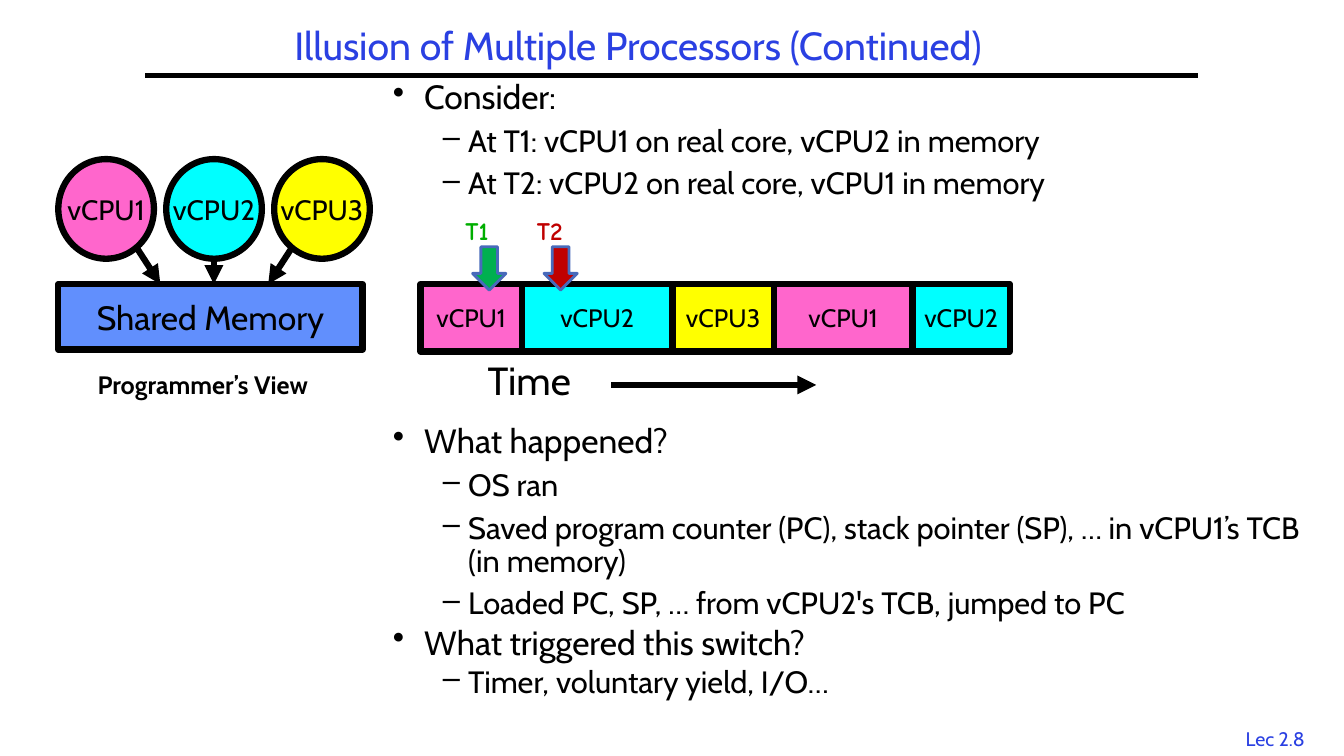
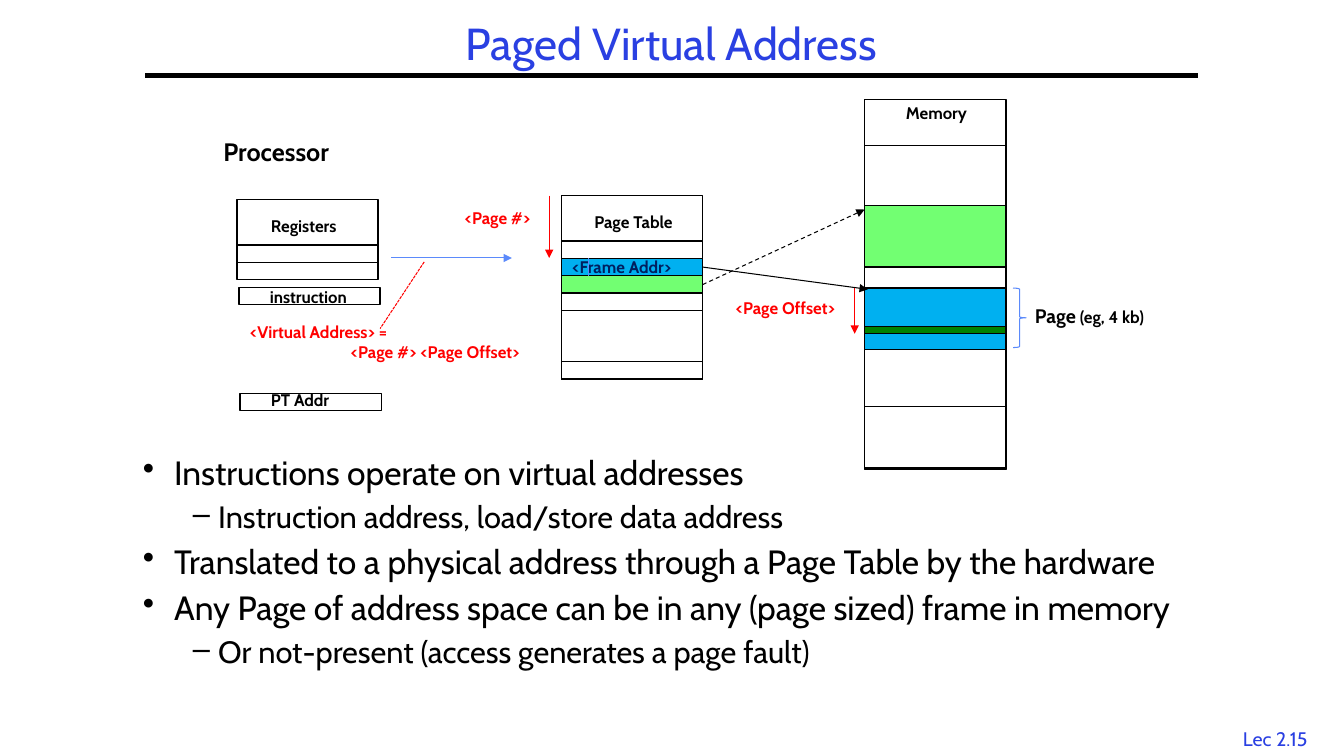
"""Build two lecture slides: virtual processors over time, and paged virtual addresses."""
from lxml import etree
from pptx import Presentation
from pptx.dml.color import RGBColor
from pptx.enum.dml import MSO_LINE
from pptx.enum.shapes import MSO_CONNECTOR, MSO_SHAPE
from pptx.enum.text import MSO_ANCHOR, MSO_AUTO_SIZE, PP_ALIGN
from pptx.oxml.ns import qn
from pptx.util import Cm, Pt

RECTANGLE = MSO_SHAPE.RECTANGLE
ELLIPSE = MSO_SHAPE.OVAL
DOWN_ARROW = MSO_SHAPE.DOWN_ARROW
BRACE = MSO_SHAPE.RIGHT_BRACE
STRAIGHT = MSO_CONNECTOR.STRAIGHT
DASH = MSO_LINE.DASH
FINE_DASH = MSO_LINE.SQUARE_DOT
LEFT = PP_ALIGN.LEFT
CENTER = PP_ALIGN.CENTER
MIDDLE = MSO_ANCHOR.MIDDLE
NO_AUTOFIT = MSO_AUTO_SIZE.NONE

FONT = "Cabin"
BLACK = "000000"
TITLE_BLUE = "2A40E2"
LINE_BLUE = "5B8AFB"
RED = "FF0000"
PINK = "FF66CC"
CYAN = "00FFFF"
YELLOW = "FFFF00"
FRAME_BLUE = "00B0F0"
PAGE_GREEN = "72FF72"
CPU_COLORS = {"vCPU1": PINK, "vCPU2": CYAN, "vCPU3": YELLOW}
BULLETS = [("•", 24, 0.79, 0.79), ("–", 22, 1.9, 0.64)]


def write(shape, text, size=12, color=BLACK, bold=False, font=FONT, align=LEFT, spacing=1.0,
          before=0, indent=0, hanging=0, bullet=None, same_line=False):
    """Add one paragraph, or one more run of the last paragraph."""
    frame = shape.text_frame
    paragraph = frame.paragraphs[-1]
    if paragraph.runs and not same_line:
        paragraph = frame.add_paragraph()
        paragraph.space_before = Pt(before)
    paragraph.alignment = align
    paragraph.line_spacing = spacing
    properties = paragraph._p.get_or_add_pPr()
    if indent:
        properties.set("marL", str(Cm(indent)))
        properties.set("indent", str(-Cm(hanging)))
    if bullet:
        etree.SubElement(properties, qn("a:buChar"), char=bullet)
    run = paragraph.add_run()
    run.text = text
    run.font.name = font
    run.font.size = Pt(size)
    run.font.bold = bold
    run.font.color.rgb = RGBColor.from_string(color)


def draw(slide, kind, box, fill=None, outline=BLACK, width=1):
    """Add a preset shape, or a text box when kind is None."""
    lengths = [Cm(length) for length in box]
    if kind is None:
        shape = slide.shapes.add_textbox(*lengths)
        shape.text_frame.word_wrap = True
        return shape
    shape = slide.shapes.add_shape(kind, *lengths)
    shape.shadow.inherit = False
    shape.line.color.rgb = RGBColor.from_string(outline)
    shape.line.width = Pt(width)
    if fill:
        shape.fill.solid()
        shape.fill.fore_color.rgb = RGBColor.from_string(fill)
    else:
        shape.fill.background()
    shape.text_frame.word_wrap = False
    shape.text_frame.vertical_anchor = MIDDLE
    return shape


presentation = Presentation()
presentation.slide_width = Cm(33.87)
presentation.slide_height = Cm(19.05)

connectors = []
slides = []
for title_text, title_size, title_box, footer_text in [
    ("Illusion of Multiple Processors (Continued)", 28, (5.13, 0.1, 21.89, 2.21), "Lec 2.8"),
    ("Paged Virtual Address", 32, (3.66, 0.43, 26.52, 1.47), "Lec 2.15"),
]:
    slide = presentation.slides.add_slide(presentation.slide_layouts[5])
    slides.append(slide)
    title = slide.shapes.title
    title.left, title.top, title.width, title.height = [Cm(length) for length in title_box]
    title.text_frame.vertical_anchor = MIDDLE
    title.text_frame.auto_size = NO_AUTOFIT
    write(title, title_text, size=title_size, color=TITLE_BLUE, align=CENTER, spacing=0.9)
    footer = draw(slide, None, (30.91, 18.19, 2.46, 0.84))
    footer.text_frame.word_wrap = False
    write(footer, footer_text, size=14, color=TITLE_BLUE, align=CENTER)
    connectors.append((slide, (3.66, 1.9), (30.2, 1.9), BLACK, 3, None, False, None))
processors, paging = slides

for slide, box, lines in [
    (processors, (9.65, 1.9, 23.83, 3.5), [
        (0, "Consider:", 0.9, 0.3),
        (1, "At T1: vCPU1 on real core, vCPU2 in memory", 0.9, 0.3),
        (1, "At T2: vCPU2 on real core, vCPU1 in memory", 0.9, 0.3),
    ]),
    (processors, (9.65, 10.57, 23.83, 7.5), [
        (0, "What happened?", 0.9, 0.3),
        (1, "OS ran", 0.9, 0.3),
        (1, "Saved program counter (PC), stack pointer (SP), … in vCPU1’s TCB (in memory)", 0.9, 0.3),
        (1, "Loaded PC, SP, … from vCPU2's TCB, jumped to PC", 0.9, 0.3),
        (0, "What triggered this switch?", 0.8, 0.25),
        (1, "Timer, voluntary yield, I/O…", 0.8, 0.25),
    ]),
    (paging, (3.35, 11.38, 27.5, 6.93), [
        (0, "Instructions operate on virtual addresses", 0.9, 0.3),
        (1, "Instruction address, load/store data address", 0.9, 0.3),
        (0, "Translated to a physical address through a Page Table by the hardware", 0.9, 0.3),
        (0, "Any Page of address space can be in any (page sized) frame in memory", 0.9, 0.3),
        (1, "Or not-present (access generates a page fault)", 0.9, 0.3),
    ]),
]:
    body = draw(slide, None, box)
    for level, text, spacing, gap in lines:
        bullet, size, indent, hanging = BULLETS[level]
        write(body, text, size=size, spacing=spacing, before=gap * size,
              indent=indent, hanging=hanging, bullet=bullet)

left = 10.6
for name, width in [("vCPU1", 2.55), ("vCPU2", 3.8), ("vCPU3", 2.55), ("vCPU1", 3.5), ("vCPU2", 2.45)]:
    time_slot = draw(processors, RECTANGLE, (left, 7.16, width, 1.7), CPU_COLORS[name], width=4.5)
    write(time_slot, name, size=18, align=CENTER)
    left += width

for index, (name, fill, color) in enumerate([("T1", "00B050", "00AE00"), ("T2", "C00000", "C00000")]):
    shift = 1.8 * index
    draw(processors, DOWN_ARROW, (11.91 + shift, 6.22, 0.84, 1.09), fill, "486ABB", 2)
    moment = draw(processors, None, (11.48 + shift, 5.3, 1.8, 1.02))
    write(moment, name, size=18, color=color, bold=True, font="Comic Neue")

for index, (name, fill) in enumerate(CPU_COLORS.items()):
    circle = draw(processors, ELLIPSE, (1.47 + 2.72 * index, 4.01, 2.41, 2.51), fill, width=4.5)
    write(circle, name, size=20, align=CENTER)
shared_memory = draw(processors, RECTANGLE, (1.47, 7.16, 7.67, 1.65), "618FFD", width=4.5)
write(shared_memory, "Shared Memory", size=24, align=CENTER)

for start, end in [
    ((3.43, 6.22), (4.04, 7.16)),
    ((5.39, 6.52), (5.39, 7.16)),
    ((7.37, 6.22), (6.76, 7.16)),
    ((15.4, 9.7), (20.57, 9.7)),
]:
    connectors.append((processors, start, end, BLACK, 4.5, None, True, None))

row = 0.44
table_rows = [6.07 + row * index for index in range(4)]
cells = {}
for name, left, top, height, fill in [
    ("registers", 5.97, 5.03, 2.01, None),
    ("register", 5.97, 6.17, row, None),
    ("instruction", 6.02, 7.24, row, None),
    ("table address", 6.05, 9.91, row, None),
    ("page table", 14.15, 4.93, 4.62, None),
    ("first entry", 14.15, table_rows[0], row, None),
    ("frame entry", 14.15, table_rows[1], row, FRAME_BLUE),
    ("green entry", 14.15, table_rows[2], row, PAGE_GREEN),
    ("fourth entry", 14.15, table_rows[3], row, None),
    ("last entry", 14.15, 9.11, row, None),
    ("memory", 21.79, 2.51, 9.32, None),
    ("first page", 21.79, 3.66, 1.55, None),
    ("green page", 21.79, 5.18, 1.55, PAGE_GREEN),
    ("blue page", 21.79, 7.26, 1.55, FRAME_BLUE),
    ("last page", 21.79, 10.24, 1.55, None),
    ("word", 21.79, 8.23, 0.18, "008200"),
]:
    cells[name] = draw(paging, RECTANGLE, (left, top, 3.56, height), fill)
draw(paging, BRACE, (25.53, 7.26, 0.33, 1.5), outline=LINE_BLUE, width=0.75)

for start, end, color, dash, arrow, source in [
    ((9.86, 6.5), (12.9, 6.5), LINE_BLUE, None, True, None),
    ((10.69, 6.6), (9.58, 8.28), RED, FINE_DASH, False, None),
    ((13.84, 4.93), (13.84, 6.5), RED, None, True, None),
    ((21.54, 7.26), (21.54, 8.41), RED, None, True, None),
    ((14.83, 6.51), (14.83, 6.95), LINE_BLUE, None, False, None),
    ((17.71, 6.73), (21.87, 7.29), BLACK, None, True, cells["frame entry"]),
    ((17.71, 7.17), (21.79, 5.28), BLACK, DASH, True, cells["green entry"]),
]:
    connectors.append((paging, start, end, color, 0.75, dash, arrow, source))

for slide, left, top, width, text, size, color, bold in [
    (processors, 12.04, 8.86, 3.38, "Time", 28, BLACK, False),
    (processors, 2.21, 9.17, 6.48, "Programmer’s View", 18, BLACK, True),
    (paging, 5.38, 3.3, 3.66, "Processor", 18, BLACK, True),
    (paging, 6.58, 5.31, 2.46, "Registers", 12, BLACK, True),
    (paging, 6.55, 7.09, 2.72, "instruction", 12, BLACK, True),
    (paging, 6.58, 9.7, 2.16, "PT Addr", 12, BLACK, True),
    (paging, 14.73, 5.21, 2.74, "Page Table", 12, BLACK, True),
    (paging, 22.58, 2.46, 2.16, "Memory", 12, BLACK, True),
    (paging, 11.46, 5.11, 2.51, "<Page #>", 12, RED, True),
    (paging, 14.17, 6.35, 3.51, "<Frame Addr>", 12, "002060", True),
    (paging, 18.29, 7.39, 3.51, "<Page Offset>", 12, RED, True),
]:
    label = draw(slide, None, (left, top, width, 0.05 * size + 0.16))
    write(label, text, size=size, color=color, bold=bold)

virtual_address = draw(paging, None, (6.05, 7.98, 8.33, 1.27))
write(virtual_address, "<Virtual Address> =", color=RED, bold=True)
write(virtual_address, "<Page #> <Page Offset>", color=RED, bold=True, indent=2.54)

page_size = draw(paging, None, (25.83, 7.54, 3.71, 0.86))
write(page_size, "Page", size=14, bold=True)
write(page_size, " (eg, 4 kb)", bold=True, same_line=True)

for slide, start, end, color, width, dash, arrow, source in connectors:
    points = [Cm(length) for length in start + end]
    connector = slide.shapes.add_connector(STRAIGHT, *points)
    if source is not None:
        connector.begin_connect(source, 3)
    connector.line.color.rgb = RGBColor.from_string(color)
    connector.line.width = Pt(width)
    if dash is not None:
        connector.line.dash_style = dash
    properties = connector._element.spPr
    if arrow:
        etree.SubElement(properties.find(qn("a:ln")), qn("a:tailEnd"), type="triangle")
    etree.SubElement(properties, qn("a:effectLst"))

presentation.save("out.pptx")
